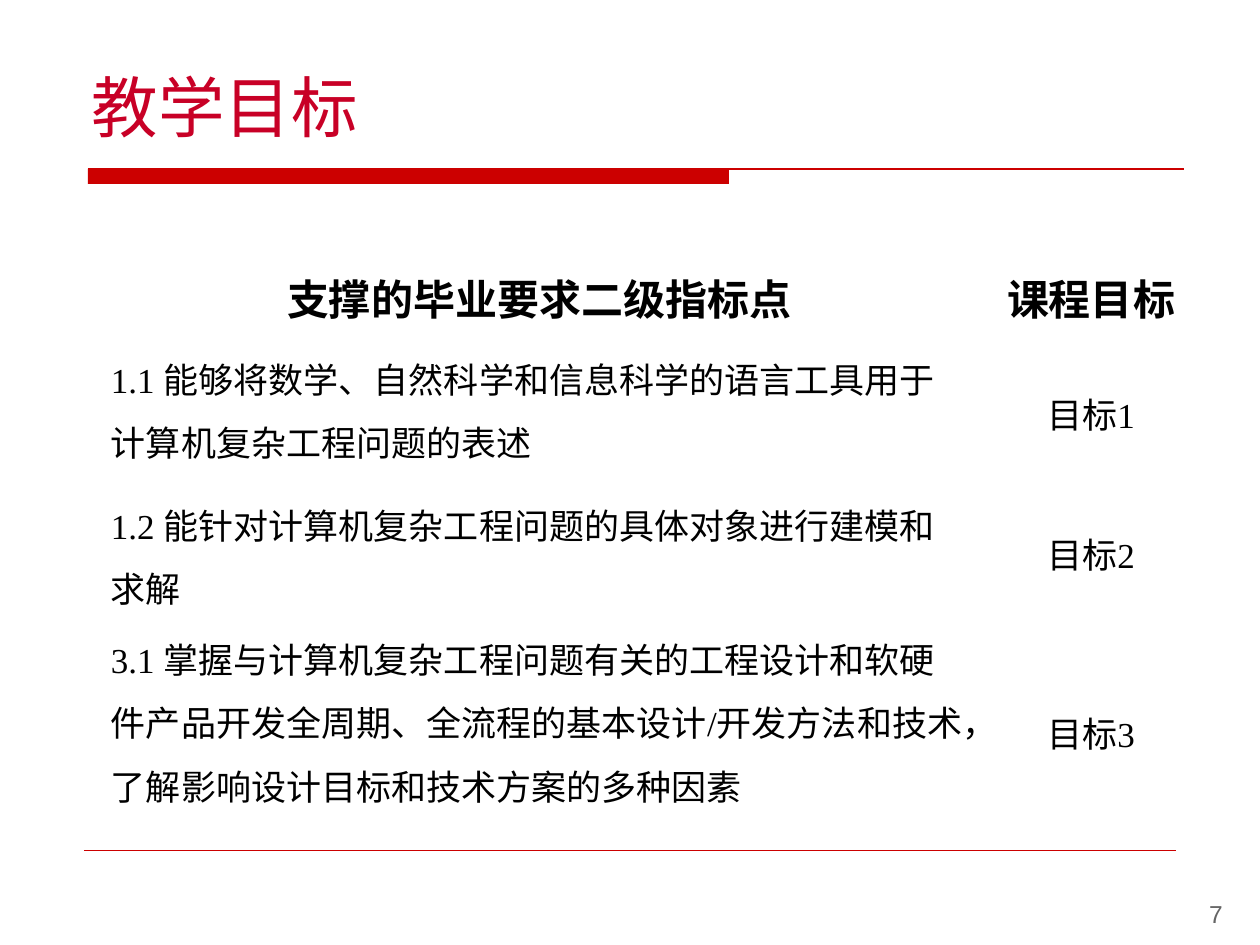
from dataclasses import dataclass

from lxml.etree import SubElement
from pptx import Presentation
from pptx.dml.color import RGBColor
from pptx.enum.shapes import MSO_CONNECTOR, MSO_SHAPE
from pptx.enum.text import MSO_ANCHOR, MSO_AUTO_SIZE, PP_ALIGN
from pptx.oxml.ns import qn
from pptx.util import Emu, Pt

TITLE = "教学目标"
PAGE_NUMBER = "7"
HEADER = ("支撑的毕业要求二级指标点", "课程目标")
GOALS = [
    ("1.1 能够将数学、自然科学和信息科学的语言工具用于计算机复杂工程问题的表述", "目标1"),
    ("1.2 能针对计算机复杂工程问题的具体对象进行建模和求解", "目标2"),
    ("3.1 掌握与计算机复杂工程问题有关的工程设计和软硬件产品开发全周期、全流程的"
     "基本设计/开发方法和技术，了解影响设计目标和技术方案的多种因素", "目标3"),
]
GOAL_SPACING = (6, 0, 6)
COLUMN_WIDTHS = (876, 228)
ROW_HEIGHTS = (82, 146, 134, 223)


@dataclass(frozen=True)
class Theme:
    title: str = "C80026"
    rule: str = "CC0000"
    text: str = "000000"
    number: str = "656565"
    paper: str = "FFFFFF"
    title_font: str = "DejaVu Sans"
    table_font: str = "Times New Roman"
    number_font: str = "Arial"
    title_size: int = 38
    header_size: int = 24
    body_size: int = 20
    number_size: int = 14


THEME = Theme()


def px(value):
    return Emu(round(value * 914400 / 126))


def color(code):
    return RGBColor.from_string(code)


def place(item, left, top, width, height):
    item.left, item.top, item.width, item.height = map(px, (left, top, width, height))


def add_span(para, text, font, size, code, bold=False):
    span = para.add_run()
    span.text = text
    span.font.name, span.font.size, span.font.bold = font, Pt(size), bold
    span.font.color.rgb = color(code)


def add_rule(page, left, right, y, weight):
    rule = page.shapes.add_connector(
        MSO_CONNECTOR.STRAIGHT, px(left), px(y), px(right), px(y))
    rule.line.color.rgb = color(THEME.rule)
    rule.line.width = Pt(weight)
    SubElement(rule._element.spPr, qn("a:effectLst"))


def add_border(cell, side, weight):
    border = SubElement(cell._tc.get_or_add_tcPr(), qn(f"a:ln{side}"), w=str(Pt(weight)))
    fill = SubElement(border, qn("a:solidFill"))
    SubElement(fill, qn("a:srgbClr"), val=THEME.paper)


def style_cell(cell, row):
    heavy = {0: "B", 1: "T"}.get(row)
    for side in "LRTB":
        add_border(cell, side, 1.47 if side == heavy else 0.45)
    cell.fill.solid()
    cell.fill.fore_color.rgb = color(THEME.paper)
    cell.margin_left = cell.margin_right = px(10)
    cell.margin_top = cell.margin_bottom = px(6)


def add_title(page):
    title = page.shapes.title
    place(title, 79, 42, 1097, 110)
    frame = title.text_frame
    frame.auto_size = MSO_AUTO_SIZE.NONE
    frame.vertical_anchor = MSO_ANCHOR.BOTTOM
    para = frame.paragraphs[0]
    para.alignment = PP_ALIGN.LEFT
    add_span(para, TITLE, THEME.title_font, THEME.title_size, THEME.title)


def add_title_bar(page):
    bar = page.shapes.add_shape(MSO_SHAPE.RECTANGLE, px(88), px(169), px(641), px(15))
    bar.shadow.inherit = False
    bar.fill.solid()
    bar.fill.fore_color.rgb = color(THEME.rule)
    bar.line.fill.background()


def add_page_number(page):
    box = page.shapes.add_textbox(px(941), px(893), px(294), px(66))
    box.text_frame.word_wrap = True
    para = box.text_frame.paragraphs[0]
    para.alignment = PP_ALIGN.RIGHT
    add_span(para, PAGE_NUMBER, THEME.number_font, THEME.number_size, THEME.number)


def add_goal_table(page):
    rows = [HEADER, *GOALS]
    table = page.shapes.add_table(
        len(rows), len(HEADER), px(101), px(252),
        px(sum(COLUMN_WIDTHS)), px(sum(ROW_HEIGHTS))).table
    table.horz_banding = False
    for column, width in zip(table.columns, COLUMN_WIDTHS):
        column.width = px(width)
    for row, height in zip(table.rows, ROW_HEIGHTS):
        row.height = px(height)

    for r, texts in enumerate(rows):
        is_header = r == 0
        for c, text in enumerate(texts):
            cell = table.cell(r, c)
            style_cell(cell, r)
            para = cell.text_frame.paragraphs[0]
            para.line_spacing = 1.15 if is_header else 1.25
            para.alignment = PP_ALIGN.CENTER if is_header or c == 1 else PP_ALIGN.LEFT
            if not is_header and c == 1:
                cell.vertical_anchor = MSO_ANCHOR.MIDDLE
                para.space_before = para.space_after = Pt(GOAL_SPACING[r - 1])
            size = THEME.header_size if is_header else THEME.body_size
            add_span(para, text, THEME.table_font, size, THEME.text, is_header)


def main():
    deck = Presentation()
    deck.slide_width, deck.slide_height = px(1260), px(945)
    page = deck.slides.add_slide(deck.slide_layouts[5])
    add_title_bar(page)
    add_rule(page, 88, 1184, 169, 0.75)
    add_rule(page, 84, 1176, 850, 0.25)
    add_title(page)
    add_page_number(page)
    add_goal_table(page)
    deck.save("out.pptx")


if __name__ == "__main__":
    main()
